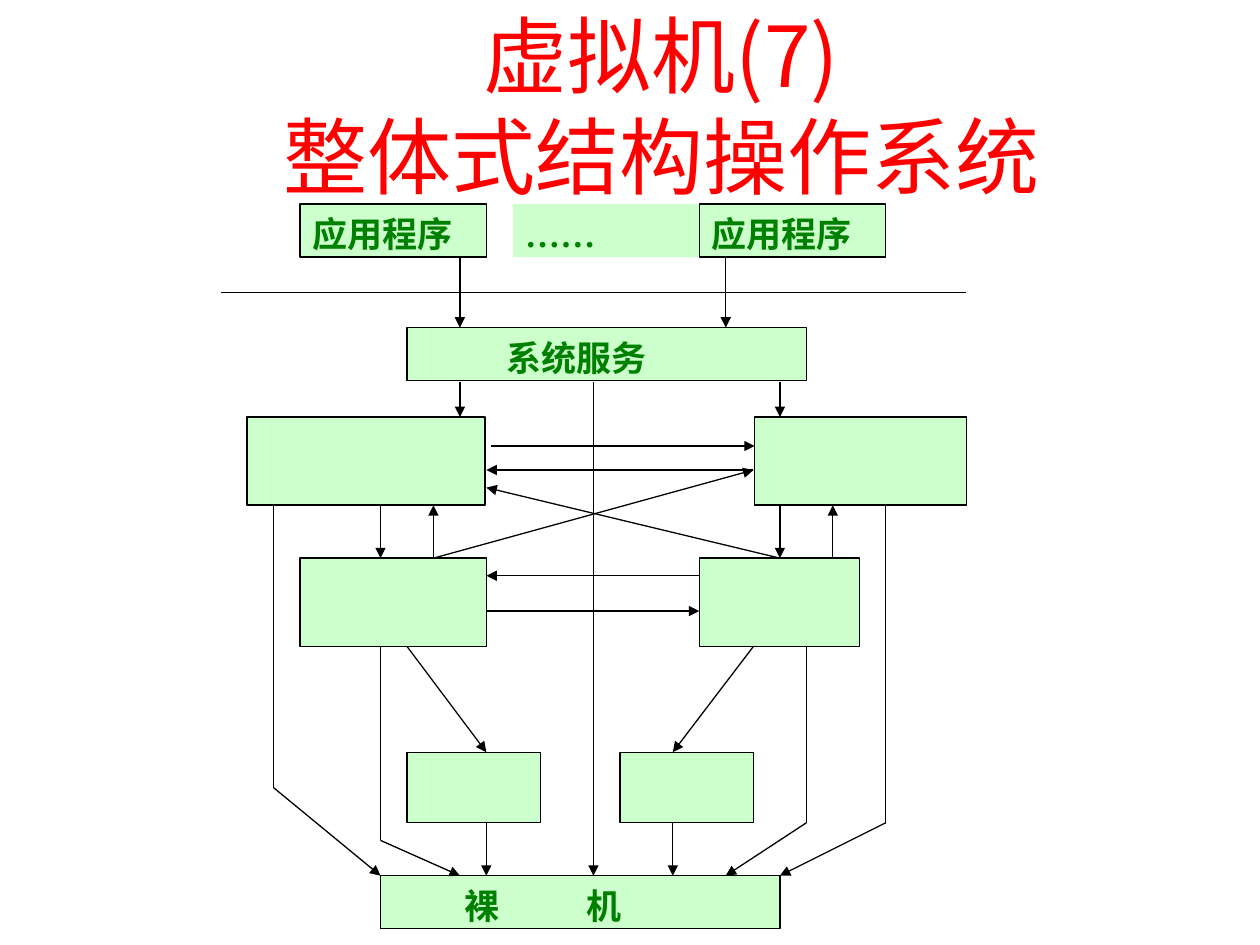
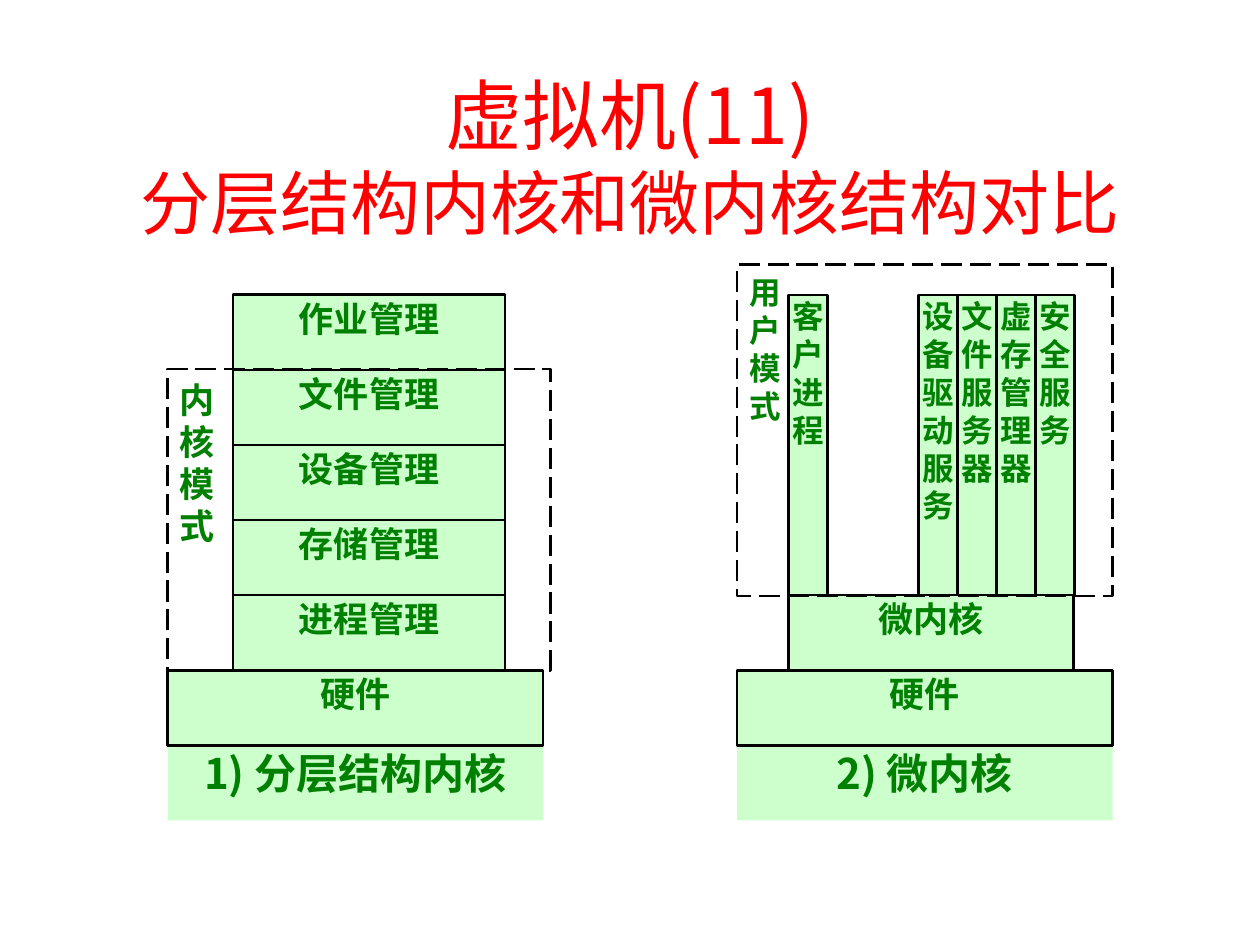
from dataclasses import dataclass

from lxml.etree import SubElement
from pptx import Presentation
from pptx.dml.color import RGBColor as Rgb
from pptx.enum.dml import MSO_LINE_DASH_STYLE as Dash
from pptx.enum.shapes import MSO_CONNECTOR as Conn, MSO_SHAPE as Kind
from pptx.enum.text import MSO_ANCHOR as Anchor, PP_ALIGN as Align
from pptx.oxml.ns import qn
from pptx.util import Inches, Pt


@dataclass(frozen=True)
class Theme:
    red: Rgb = Rgb(0xFF, 0, 0)
    green: Rgb = Rgb(0, 0x80, 0)
    mint: Rgb = Rgb(0xCC, 0xFF, 0xCC)
    ink: Rgb = Rgb(0, 0, 0)
    sans: str = "Noto Sans CJK SC"
    serif: str = "Times New Roman"
    huge: int = 48
    big: int = 44
    sub: int = 40
    note: int = 24
    body: int = 20
    small: int = 18
    lead: float = 1.2
    thin: float = 0.75
    bold: float = 1.5


class Deck:
    def __init__(self, theme):
        self.theme = theme
        self.prs = Presentation()
        self.prs.slide_width, self.prs.slide_height = Inches(10), Inches(7.5)

    def page(self):
        self.slide = self.prs.slides.add_slide(self.prs.slide_layouts[6])

    def line(self, para, text, size, color, font, bold=False, tabs=()):
        """Put one run of text into a paragraph."""
        if tabs:
            stops = SubElement(para._p.get_or_add_pPr(), qn("a:tabLst"))
            for pos in tabs:
                SubElement(stops, qn("a:tab"), pos=str(Inches(pos)), algn="l")
        para.line_spacing = Pt(round(size * self.theme.lead, 1))
        run = para.add_run()
        run.text = text
        run.font.size, run.font.bold, run.font.name = Pt(size), bold, font
        run.font.color.rgb = color
        SubElement(run._r.get_or_add_rPr(), qn("a:ea"),
                   typeface=self.theme.sans)

    def frame(self, shape, pad, top, anchor):
        frame = shape.text_frame
        frame.word_wrap = True
        frame.vertical_anchor = anchor
        frame.margin_left = frame.margin_right = Inches(pad)
        frame.margin_top, frame.margin_bottom = Inches(top), Inches(pad / 2)
        return frame

    def fill(self, frame, lines, align, **look):
        for i, (text, size, font) in enumerate(lines):
            para = frame.add_paragraph() if i else frame.paragraphs[0]
            para.alignment = align
            self.line(para, text, size, font=font, **look)

    def title(self, x, y, lines, top):
        box = self.slide.shapes.add_textbox(
            Inches(x), Inches(y), Inches(8.5), Inches(1.25))
        self.fill(self.frame(box, 0.1, top, Anchor.MIDDLE), lines,
                  Align.CENTER, color=self.theme.red)

    def box(self, x, y, w, h, lines=(), size=None, font=None, width=None,
            pad=0.0, align=Align.CENTER, dash=False, tabs=()):
        """Draw a rectangle; no width means no outline."""
        theme = self.theme
        shape = self.slide.shapes.add_shape(
            Kind.RECTANGLE, Inches(x), Inches(y), Inches(w), Inches(h))
        shape.shadow.inherit = False
        if dash:
            shape.fill.background()
            shape.line.dash_style = Dash.LONG_DASH
        else:
            shape.fill.solid()
            shape.fill.fore_color.rgb = theme.mint
        if width:
            shape.line.color.rgb = theme.ink
            shape.line.width = Pt(width)
        else:
            shape.line.fill.background()
        rows = [(text, size or theme.body, font or theme.sans)
                for text in lines]
        self.fill(self.frame(shape, pad, pad / 2 + 0.02, Anchor.TOP), rows,
                  align, color=theme.green, bold=True, tabs=tabs)

    def wire(self, *spots, arrow=True):
        """Join the spots by straight lines, with an arrow at the last."""
        for a, b in zip(spots, spots[1:]):
            link = self.slide.shapes.add_connector(
                Conn.STRAIGHT, *(Inches(v) for v in a + b))
            link.line.color.rgb = self.theme.ink
            link.line.width = Pt(self.theme.thin)
            if arrow and b == spots[-1]:
                SubElement(link.line._get_or_add_ln(), qn("a:tailEnd"),
                           type="triangle")
            SubElement(link._element.spPr, qn("a:effectLst"))


def whole(deck):
    theme = deck.theme
    deck.page()
    deck.title(1, 0.17, [("虚拟机(7)", theme.huge, theme.sans),
                         ("整体式结构操作系统", theme.huge, theme.sans)], 0.11)

    # Labelled boxes
    app, dots = "应用程序", "……"
    for x, y, w, text, tabs, width in [
            (2.38, 1.62, 1.48, app, (), theme.thin),
            (4.07, 1.62, 1.48, dots, (), None),
            (5.55, 1.62, 1.48, app, (), theme.thin),
            (3.23, 2.6, 3.17, "\t系统服务", (0.69,), theme.thin),
            (3.02, 6.95, 3.17, "\t裸\t机", (0.57, 1.54), theme.thin)]:
        deck.box(x, y, w, 0.42, [text], font=theme.serif, width=width,
                 pad=0.1, align=Align.LEFT, tabs=tabs)

    # Unnamed modules, three rows of two
    for y, h, pair in [(3.31, 0.7, [(1.96, 1.89), (5.99, 1.68)]),
                       (4.43, 0.7, [(2.38, 1.48), (5.55, 1.27)]),
                       (5.97, 0.56, [(3.23, 1.06), (4.92, 1.06)])]:
        for x, w in pair:
            deck.box(x, y, w, h, width=theme.thin)

    # Border between user and system
    deck.wire((1.75, 2.32), (7.67, 2.32), arrow=False)

    # Upright arrows: x, start, end
    for x, a, b in [(3.65, 2.04, 2.6), (5.76, 2.04, 2.6),
                    (3.65, 3.03, 3.31), (6.19, 3.03, 3.31),
                    (4.71, 3.03, 6.95),
                    (3.02, 4.01, 4.43), (6.19, 4.01, 4.43),
                    (3.44, 4.43, 4.01), (6.61, 4.43, 4.01),
                    (3.86, 6.53, 6.95), (5.34, 6.53, 6.95)]:
        deck.wire((x, a), (x, b))

    # Level arrows: y, start, end
    for y, a, b in [(3.54, 3.9, 5.99), (3.73, 5.98, 3.86),
                    (4.57, 5.55, 3.86), (4.85, 3.86, 5.55)]:
        deck.wire((a, y), (b, y))

    # Slanted and bent arrows
    for spots in [[(6.19, 4.43), (3.86, 3.87)],
                  [(3.44, 4.43), (5.98, 3.73)],
                  [(3.23, 5.13), (3.86, 5.97)],
                  [(5.98, 5.13), (5.34, 5.97)],
                  [(3.02, 5.13), (3.02, 6.67), (3.65, 6.95)],
                  [(6.4, 5.13), (6.4, 6.53), (5.76, 6.95)],
                  [(2.17, 4.01), (2.17, 6.25), (3.02, 6.95)],
                  [(7.03, 4.01), (7.03, 6.53), (6.19, 6.95)]]:
        deck.wire(*spots)


def compare(deck):
    theme = deck.theme
    top, step, wide, slim = 2.34, 0.596, 2.98, 0.31
    deck.page()
    deck.title(0.75, 0.53, [
        ("虚拟机(11)", theme.big, theme.sans),
        ("分层结构内核和微内核结构对比", theme.sub, theme.serif)], 0.21)

    # Captions and hardware
    for x, text in [(1.33, "1) 分层结构内核"), (5.85, "2) 微内核")]:
        deck.box(x, top + 6 * step, wide, step, [text], theme.note)
        deck.box(x, top + 5 * step, wide, step, ["硬件"], width=theme.bold)

    # Layers
    for i, text in enumerate(["作业管理", "文件管理", "设备管理",
                              "存储管理", "进程管理"]):
        deck.box(1.85, top + i * step, 2.16, step, [text], width=theme.bold)

    # Microkernel with its servers
    deck.box(6.26, top + 4 * step, 2.26, step, ["微内核"], width=theme.bold)
    names = ["设备驱动服务", "文件服务器", "虚存管理器", "安全服务"]
    slots = [(6.26, "客户进程")]
    slots += [(7.29 + i * slim, name) for i, name in enumerate(names)]
    for x, text in slots:
        deck.box(x, top, slim, 4 * step, [text], theme.small,
                 width=theme.bold)

    # Dashed mode frames, one letter a line
    for x, y, w, h, text, size in [
            (1.33, 2.93, 3.04, 2.39, "内核模式", theme.body),
            (5.85, 2.1, wide, 2.63, "用户模式", theme.small)]:
        deck.box(x, y, w, h, text, size, width=theme.bold, pad=0.1,
                 align=Align.LEFT, dash=True)


def main():
    deck = Deck(Theme())
    whole(deck)
    compare(deck)
    deck.prs.save("out.pptx")


if __name__ == "__main__":
    main()
